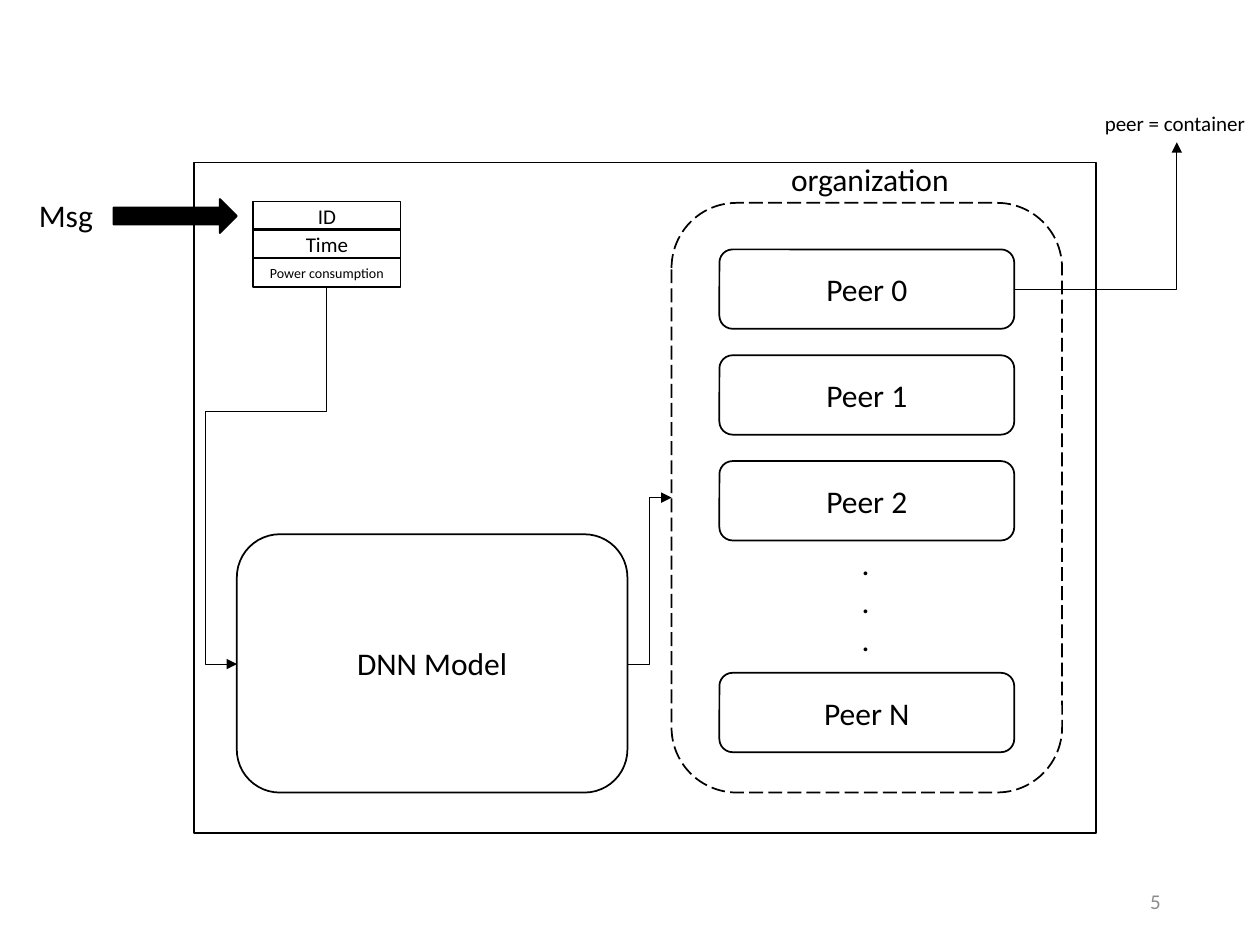
from dataclasses import dataclass
from lxml.etree import SubElement
from pptx import Presentation
from pptx.dml.color import RGBColor
from pptx.enum.dml import MSO_LINE as Dash
from pptx.enum.shapes import MSO_CONNECTOR as Conn, MSO_SHAPE as Geo
from pptx.enum.text import MSO_ANCHOR as Anchor, MSO_AUTO_SIZE as Fit, PP_ALIGN as Align
from pptx.oxml.ns import qn
from pptx.util import Emu, Pt

SCALE = 9144


def px(num):
    return Emu(num * SCALE)


def color(code):
    return RGBColor.from_string(code)


def assign(item, values):
    for key, value in values.items():
        setattr(item, key, value)


@dataclass
class Sketch:
    """Draws flow chart parts on one slide in a shared style."""
    slide: object
    face: str = "Calibri"
    ink: str = "000000"

    def letter(self, shape, text, size, align, ink=None):
        frame = shape.text_frame
        frame.text = text
        for para in frame.paragraphs:
            para.alignment = align
            assign(para.font, {"name": self.face, "size": Pt(size)})
            para.font.color.rgb = color(ink or self.ink)
        return frame

    def box(self, geo, area, text="", size=18, fill=None, dash=None):
        shape = self.slide.shapes.add_shape(geo, *map(px, area))
        shape.shadow.inherit = False
        if fill:
            shape.fill.solid()
            shape.fill.fore_color.rgb = color(fill)
        else:
            shape.fill.background()
        shape.line.color.rgb = color(self.ink)
        assign(shape.line, {"width": Pt(1), "dash_style": dash})
        if text:
            frame = self.letter(shape, text, size, Align.CENTER)
            frame.vertical_anchor = Anchor.MIDDLE

    def label(self, area, text, size=18):
        shape = self.slide.shapes.add_textbox(*map(px, area))
        frame = self.letter(shape, text, size, Align.LEFT)
        assign(frame, {"word_wrap": False, "auto_size": Fit.SHAPE_TO_FIT_TEXT})

    def number(self, area, text):
        shape = self.slide.shapes.add_textbox(*map(px, area))
        frame = self.letter(shape, text, 12, Align.RIGHT, "8C8C8C")
        assign(frame, {"word_wrap": True, "vertical_anchor": Anchor.MIDDLE})

    def elbow(self, ends, bends=3, turn=0, adjust=()):
        link = self.slide.shapes.add_connector(Conn.ELBOW, *map(px, ends))
        link.line.color.rgb = color(self.ink)
        link.line.width = Pt(0.5)
        props = link.element.spPr
        SubElement(props.find(qn("a:ln")), qn("a:tailEnd"), type="triangle")
        SubElement(props, qn("a:effectLst"))
        if turn:
            props.find(qn("a:xfrm")).set("rot", str(turn * 60000))
        geom = props.find(qn("a:prstGeom"))
        geom.set("prst", f"bentConnector{bends}")
        guides = geom.find(qn("a:avLst"))
        for spot, value in enumerate(adjust, 1):
            SubElement(guides, qn("a:gd"), name=f"adj{spot}", fmla=f"val {value}")


def main():
    deck = Presentation()
    assign(deck, {"slide_width": px(1000), "slide_height": px(750)})
    art = Sketch(deck.slides.add_slide(deck.slide_layouts[6]))

    art.box(Geo.RECTANGLE, (154, 129, 716, 532))
    art.box(Geo.ROUNDED_RECTANGLE, (533, 161, 310, 468), dash=Dash.LONG_DASH)
    art.box(Geo.ROUNDED_RECTANGLE, (188, 424, 310, 205), "DNN Model")
    for slot, name in {0: "0", 1: "1", 2: "2", 4: "N"}.items():
        area = (571, 198 + 84 * slot, 234, 63)
        art.box(Geo.ROUNDED_RECTANGLE, area, f"Peer {name}")
    art.label((674, 427, 27, 101), ".\n.\n.")
    art.label((867, 83, 133, 30), "peer = container", 12)
    art.elbow((805, 230, 934, 113), bends=2)
    art.label((618, 122, 147, 40), "organization")

    art.box(Geo.RIGHT_ARROW, (90, 158, 98, 27), fill=art.ink)
    fields = (("ID", 12), ("Time", 12), ("Power consumption", 8))
    for row, (name, size) in enumerate(fields):
        art.box(Geo.RECTANGLE, (201, 160 + 45 * row // 2, 117, 23), name, size)
    art.label((21, 151, 63, 40), "Msg")
    art.elbow((74, 342, 373, 413), bends=4, turn=90, adjust=(32900, 135200))
    art.elbow((498, 527, 533, 395))
    art.number((706, 695, 225, 40), "5")
    deck.save("out.pptx")


if __name__ == "__main__":
    main()
